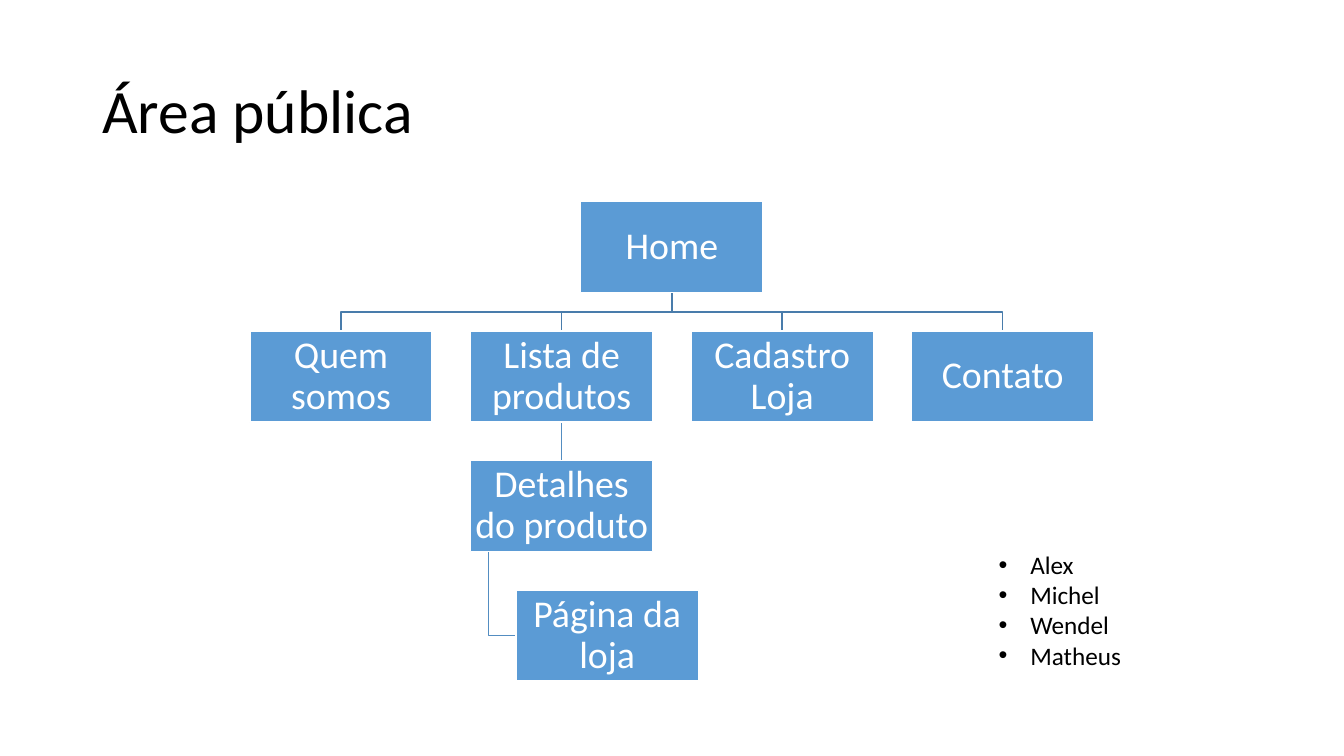
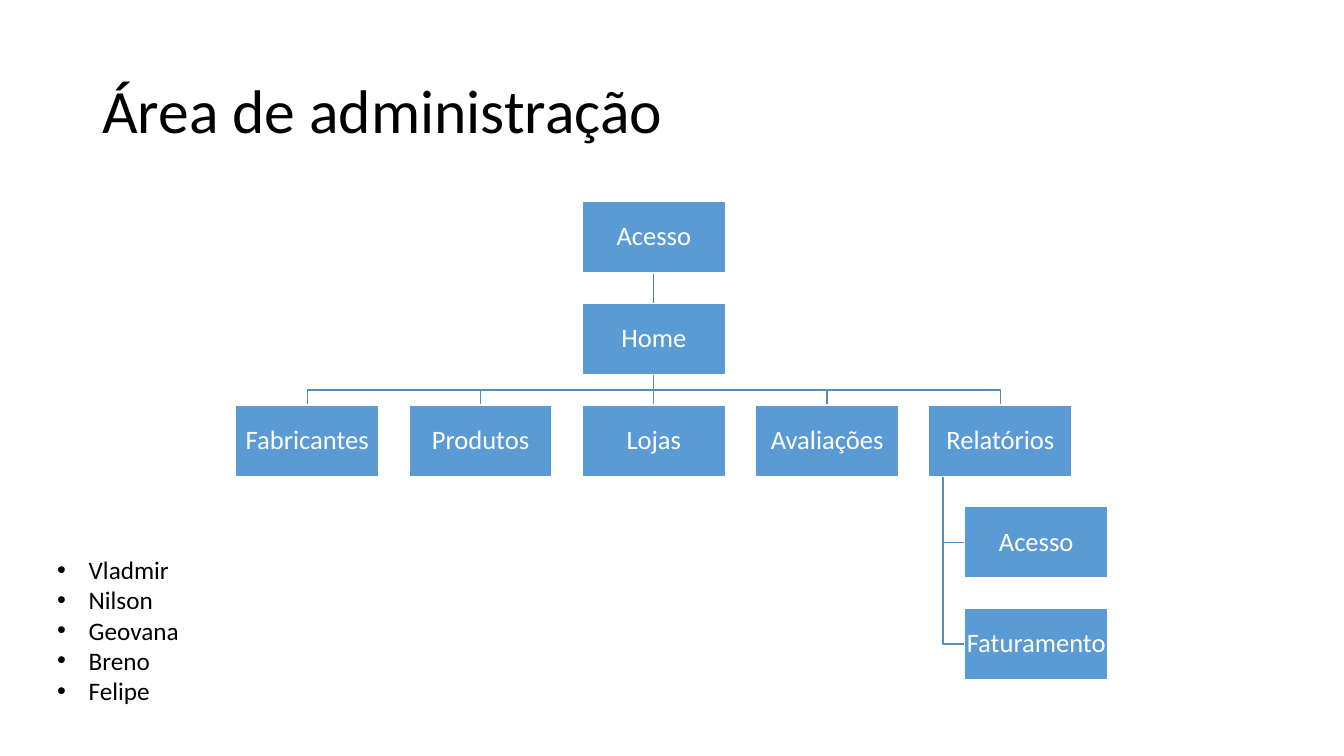
from lxml import etree
from pptx import Presentation
from pptx.dml.color import RGBColor
from pptx.enum.shapes import MSO_CONNECTOR, MSO_SHAPE
from pptx.enum.text import MSO_ANCHOR, MSO_AUTO_SIZE, PP_ALIGN
from pptx.oxml.ns import qn
from pptx.util import Pt

RECT, STRAIGHT = MSO_SHAPE.RECTANGLE, MSO_CONNECTOR.STRAIGHT
TOP, MIDDLE = MSO_ANCHOR.TOP, MSO_ANCHOR.MIDDLE
LEFT, CENTER = PP_ALIGN.LEFT, PP_ALIGN.CENTER
GROW = MSO_AUTO_SIZE.SHAPE_TO_FIT_TEXT

FONT = "Calibri"
BLACK, WHITE, BLUE = "000000", "FFFFFF", "5B9BD5"
DARK, MID = "497CAB", "538DC1"  # lines from the root, lines further down
TOP_Y = 144

# Each node: text, column, row, index of its parent, hung to the side or not
CHARTS = [
    dict(title="Área pública", left=178.5, width=130.2, size=27,
         nodes=[("Home", 1.5, 0, None, False),
                ("Quem somos", 0, 1, 0, False),
                ("Lista de produtos", 1, 1, 0, False),
                ("Cadastro Loja", 2, 1, 0, False),
                ("Contato", 3, 1, 0, False),
                ("Detalhes do produto", 1, 2, 2, False),
                ("Página da loja", 1, 3, 5, True)],
         names=["Alex", "Michel", "Wendel", "Matheus"],
         place=(706.3, 388.8, 193.7, 94.3)),
    dict(title="Área de administração", left=168.3, width=102.3, size=19,
         nodes=[("Acesso", 2, 0, None, False),
                ("Home", 2, 1, 0, False),
                ("Fabricantes", 0, 2, 1, False),
                ("Produtos", 1, 2, 1, False),
                ("Lojas", 2, 2, 1, False),
                ("Avaliações", 3, 2, 1, False),
                ("Relatórios", 4, 2, 1, False),
                ("Acesso", 4, 3, 6, True),
                ("Faturamento", 4, 4, 6, True)],
         names=["Vladmir", "Nilson", "Geovana", "Breno", "Felipe"],
         place=(33.8, 392.4, 165.6, 116.6)),
]


def color(code):
    return RGBColor.from_string(code)


def write(shape, lines, size=18, ink=BLACK, align=LEFT, anchor=TOP,
          spacing=1.0, inset=None, bullet=None):
    frame = shape.text_frame
    frame.word_wrap = True
    frame.vertical_anchor = anchor
    if inset is not None:
        frame.margin_left = frame.margin_right = Pt(inset)
        frame.margin_top = frame.margin_bottom = Pt(inset)
    for i, line in enumerate(lines):
        para = frame.add_paragraph() if i else frame.paragraphs[0]
        para.alignment = align
        para.line_spacing = spacing
        run = para.add_run()
        run.text = line
        run.font.name = FONT
        run.font.size = Pt(size)
        run.font.color.rgb = color(ink)
        if bullet:
            props = para._p.get_or_add_pPr()
            props.set("marL", str(Pt(22.5)))
            props.set("indent", str(-Pt(22.5)))
            etree.SubElement(props, qn("a:buFont"), typeface="Arial")
            etree.SubElement(props, qn("a:buChar"), char=bullet)


deck = Presentation()
deck.slide_width, deck.slide_height = Pt(960), Pt(540)

for chart in CHARTS:
    shapes = deck.slides.add_slide(deck.slide_layouts[6]).shapes

    # Title
    title = shapes.add_textbox(Pt(66), Pt(28.8), Pt(828), Pt(104.4))
    write(title, [chart["title"]], size=44, anchor=MIDDLE, spacing=0.9)

    # Boxes: every measure follows from the box width
    wide, size = chart["width"], chart["size"]
    high, gap = wide / 2, wide * 0.21
    boxes = []
    for text, col, row, up, hung in chart["nodes"]:
        x = chart["left"] + col * (wide + gap) + (wide / 4 if hung else 0)
        y = TOP_Y + row * (high + gap)
        box = shapes.add_shape(RECT, Pt(x), Pt(y), Pt(wide), Pt(high))
        box.shadow.inherit = False
        box.fill.solid()
        box.fill.fore_color.rgb = color(BLUE)
        box.line.color.rgb = color(WHITE)
        box.line.width = Pt(1)
        write(box, [text], size=size, ink=WHITE, align=CENTER,
              anchor=MIDDLE, spacing=0.9, inset=size / 20)
        boxes.append((box, x, y))

    # Lines from parent to child, kept behind the boxes
    for (child, x, y), (_, _, _, up, hung) in zip(boxes, chart["nodes"]):
        if up is None:
            continue
        head, px, py = boxes[up]
        mid, base = px + wide / 2, py + high
        if not hung and abs(x - px) < 1:
            link = shapes.add_connector(STRAIGHT, Pt(mid), Pt(base), Pt(mid), Pt(y))
            link.begin_connect(head, 2)
            link.end_connect(child, 0)
        else:
            if hung:
                stem = px + wide / 10
                route = [(stem, base), (stem, y + high / 2), (x, y + high / 2)]
            else:
                bend, end = base + gap / 2, x + wide / 2
                route = [(mid, base), (mid, bend), (end, bend), (end, y)]
            spots = [(Pt(a), Pt(b)) for a, b in route]
            path = shapes.build_freeform(*spots[0])
            path.add_line_segments(spots[1:], close=False)
            link = path.convert_to_shape()
            link.fill.background()
        link.line.color.rgb = color(MID if up else DARK)
        link.line.width = Pt(1)
        etree.SubElement(link._element.spPr, qn("a:effectLst"))
        shapes.element.insert(2, link._element)

    # Names
    team = shapes.add_textbox(*[Pt(v) for v in chart["place"]])
    write(team, chart["names"], bullet="•")
    team.text_frame.auto_size = GROW

deck.save("out.pptx")
